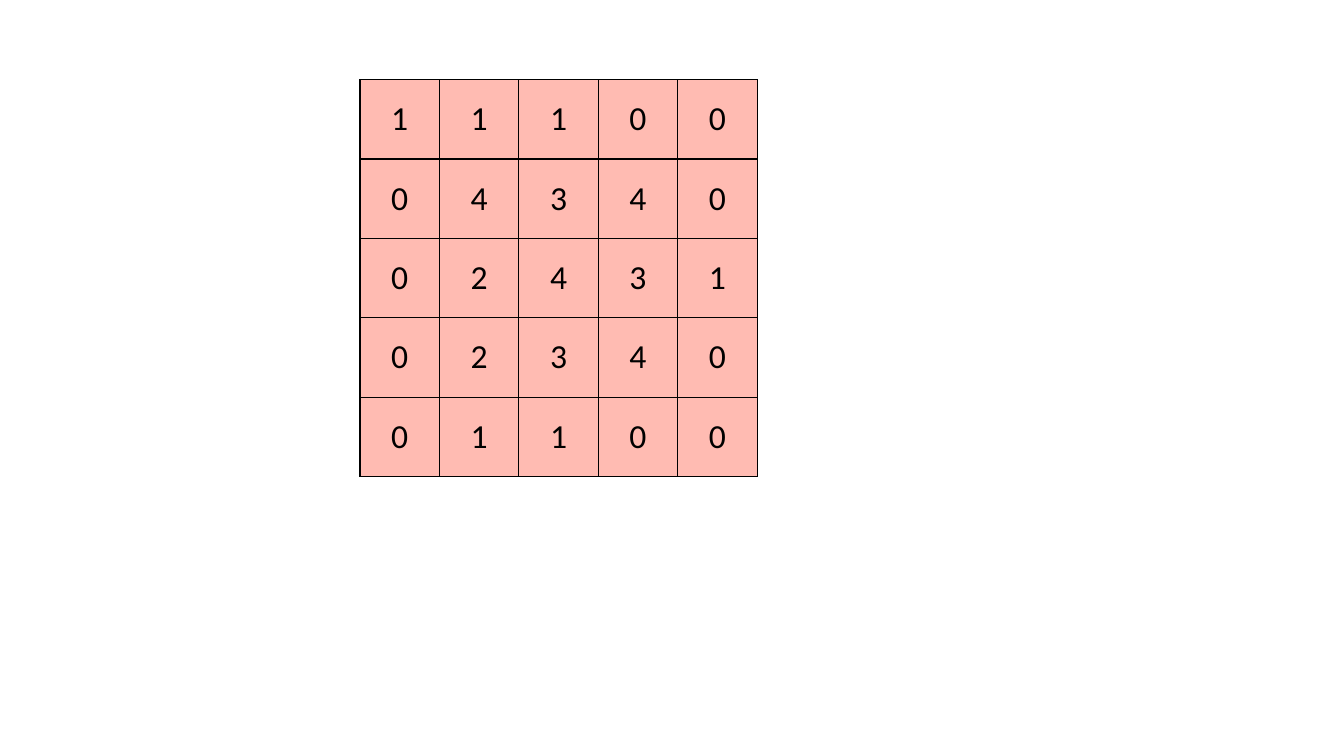
from dataclasses import dataclass

from lxml.etree import SubElement
from pptx import Presentation
from pptx.dml.color import RGBColor
from pptx.enum.text import MSO_ANCHOR, PP_ALIGN
from pptx.oxml.ns import qn
from pptx.util import Inches, Pt

FEATURE_MAP = [
    [1, 1, 1, 0, 0],
    [0, 4, 3, 4, 0],
    [0, 2, 4, 3, 1],
    [0, 2, 3, 4, 0],
    [0, 1, 1, 0, 0],
]
BLANK_LAYOUT = 6


@dataclass(frozen=True)
class Theme:
    """Colours, type and line sizes of the slide."""
    font: str = "Calibri"
    number_size: float = 24
    border_width: float = 1
    ink: str = "000000"
    cell_fill: str = "FFBBB2"
    background: str = "FFFFFF"


def write_text(frame, text, *, font, size, color, align=PP_ALIGN.CENTER):
    """Write one formatted paragraph into a text frame."""
    para = frame.paragraphs[0]
    para.alignment = align
    span = para.add_run()
    span.text = text
    span.font.name = font
    span.font.size = Pt(size)
    span.font.color.rgb = RGBColor.from_string(color)


def set_borders(cell, color, width):
    """Draw a solid line on all four sides of a table cell."""
    properties = cell._tc.get_or_add_tcPr()
    for position, side in enumerate(("a:lnL", "a:lnR", "a:lnT", "a:lnB")):
        line = SubElement(properties, qn(side), w=str(Pt(width)))
        fill = SubElement(line, qn("a:solidFill"))
        SubElement(fill, qn("a:srgbClr"), val=color)
        properties.insert(position, line)


class SlideBuilder:
    """Adds styled elements to the current slide."""

    def __init__(self, slide, theme):
        """Keep the slide and theme, and paint the background."""
        self.slide = slide
        self.theme = theme
        fill = slide.background.fill
        fill.solid()
        fill.fore_color.rgb = RGBColor.from_string(theme.background)

    def number_grid(self, values, left, top, cell_size):
        """Add a table of square cells, one for each number."""
        row_count, column_count = len(values), len(values[0])
        table = self.slide.shapes.add_table(
            row_count, column_count, left, top,
            cell_size * column_count, cell_size * row_count).table
        table.first_row = table.horz_banding = False
        for track in (*table.columns, *table.rows):
            if track in tuple(table.columns):
                track.width = cell_size
            else:
                track.height = cell_size
        for row, numbers in enumerate(values):
            for column, number in enumerate(numbers):
                self.number_cell(table.cell(row, column), number)

    def number_cell(self, cell, number):
        """Fill, frame and label one cell of the grid."""
        theme = self.theme
        cell.vertical_anchor = MSO_ANCHOR.MIDDLE
        cell.margin_left = cell.margin_right = Inches(0.07)
        cell.margin_top = cell.margin_bottom = Inches(0.03)
        cell.fill.solid()
        cell.fill.fore_color.rgb = RGBColor.from_string(theme.cell_fill)
        set_borders(cell, theme.ink, theme.border_width)
        write_text(cell.text_frame, str(number), font=theme.font,
                   size=theme.number_size, color=theme.ink)


def main():
    """Build the deck and save it."""
    deck = Presentation()
    deck.slide_width, deck.slide_height = Inches(13.33), Inches(7.5)
    page = deck.slides.add_slide(deck.slide_layouts[BLANK_LAYOUT])
    builder = SlideBuilder(page, Theme())
    builder.number_grid(FEATURE_MAP, Inches(3.57), Inches(0.79),
                        cell_size=Inches(3.94) // len(FEATURE_MAP))
    deck.save("out.pptx")


main()
